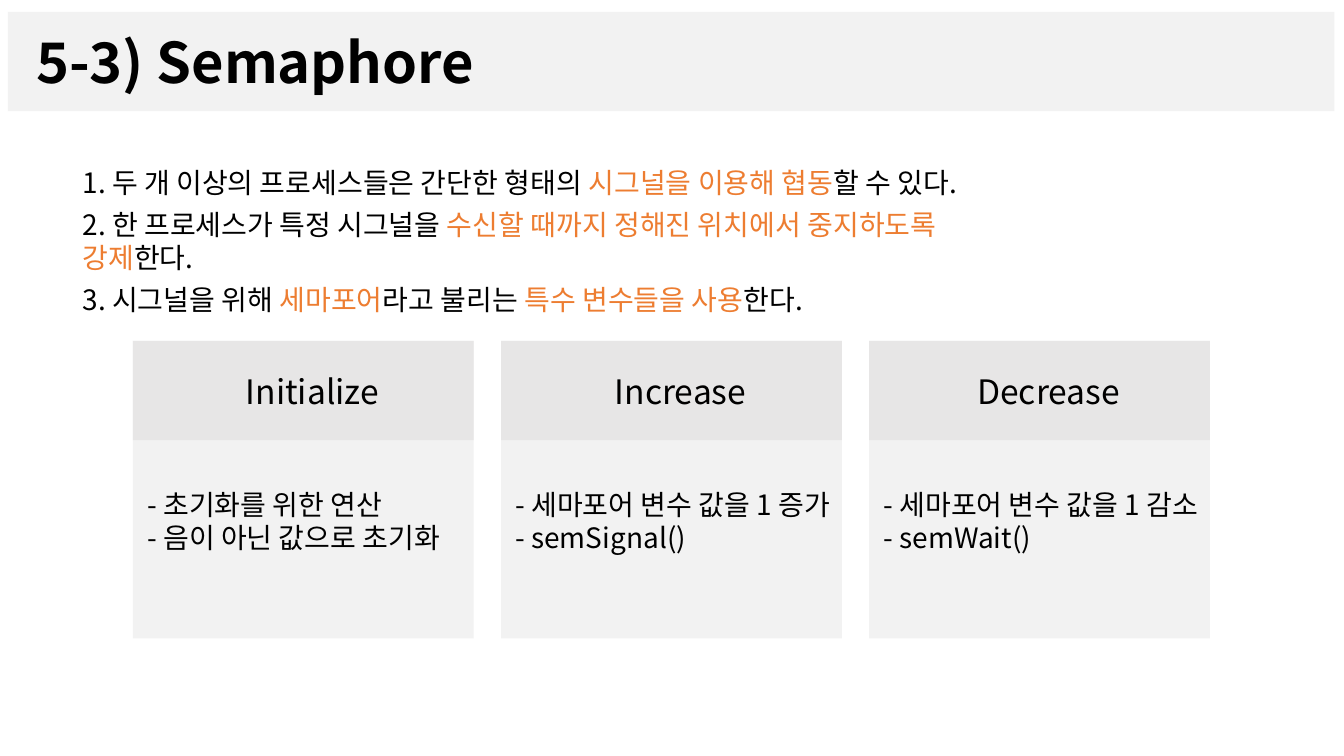
from lxml import etree
from pptx import Presentation
from pptx.dml.color import RGBColor
from pptx.enum.shapes import MSO_SHAPE as Shape
from pptx.enum.text import MSO_ANCHOR as Anchor, MSO_AUTO_SIZE as AutoSize, PP_ALIGN as Align
from pptx.oxml.ns import qn
from pptx.util import Cm, Pt

FONT = "Noto Sans CJK KR"
BLACK = RGBColor(0x00, 0x00, 0x00)
ORANGE = RGBColor(0xED, 0x7D, 0x31)
PALE = RGBColor(0xF2, 0xF2, 0xF2)
GRAY = RGBColor(0xE7, 0xE6, 0xE6)

TITLE = "5-3) Semaphore"
POINTS = [
    [("1. 두 개 이상의 프로세스들은 간단한 형태의 ", BLACK),
     ("시그널을 이용해 협동", ORANGE), ("할 수 있다.", BLACK)],
    [("2. 한 프로세스가 특정 시그널을 ", BLACK),
     ("수신할 때까지 정해진 위치에서 중지하도록 강제", ORANGE), ("한다.", BLACK)],
    [("3. 시그널을 위해 ", BLACK), ("세마포어", ORANGE), ("라고 불리는 ", BLACK),
     ("특수 변수들을 사용", ORANGE), ("한다.", BLACK)],
]
OPERATIONS = [
    ("Initialize", ["- 초기화를 위한 연산", "- 음이 아닌 값으로 초기화"]),
    ("Increase", ["- 세마포어 변수 값을 1 증가", "- semSignal()"]),
    ("Decrease", ["- 세마포어 변수 값을 1 감소", "- semWait()"]),
]


def write(frame, lines, size, align=Align.LEFT, bold=False, after=0):
    for index, spans in enumerate(lines):
        para = frame.add_paragraph() if index else frame.paragraphs[0]
        para.alignment = align
        para.space_after = Pt(after)
        para.font.size = Pt(size)
        para.font.bold = bold
        para.font.name = FONT
        for text, color in spans:
            span = para.add_run()
            span.text = text
            span.font.color.rgb = color
            span.font.name = FONT
            east_asian = etree.SubElement(span.font._element, qn("a:ea"))
            east_asian.set("typeface", FONT)


def add_panel(page, left, top, width, height, fill, inset_left, inset_top):
    panel = page.shapes.add_shape(Shape.RECTANGLE, Cm(left), Cm(top), Cm(width), Cm(height))
    panel.shadow.inherit = False
    panel.fill.solid()
    panel.fill.fore_color.rgb = fill
    panel.line.fill.background()
    frame = panel.text_frame
    frame.word_wrap = True
    frame.vertical_anchor = Anchor.MIDDLE
    frame.margin_left, frame.margin_top = Cm(inset_left), Cm(inset_top)
    return frame


def add_title(page, left, top, width, height):
    frame = add_panel(page, left, top, width, height, PALE, 0.71, 0.13)
    write(frame, [[(TITLE, BLACK)]], 40, bold=True)


def add_points(page, left, top, width, height):
    box = page.shapes.add_textbox(Cm(left), Cm(top), Cm(width), Cm(height))
    box.text_frame.word_wrap = True
    box.text_frame.auto_size = AutoSize.SHAPE_TO_FIT_TEXT
    write(box.text_frame, POINTS, 20, after=6)


def add_card(page, left, top, width, height, heading, lines):
    body = add_panel(page, left, top, width, height, PALE, 0.36, 1.7)
    write(body, [[(line, BLACK)] for line in lines], 20)
    header = add_panel(page, left, top, width, height / 3, GRAY, 0.71, 0.13)
    write(header, [[(heading, BLACK)]], 24, align=Align.CENTER)


def add_operations(page, left, top, width, height, gap):
    count = len(OPERATIONS)
    card_width = (width - gap * (count - 1)) / count
    for index, (heading, lines) in enumerate(OPERATIONS):
        card_left = left + index * (card_width + gap)
        add_card(page, card_left, top, card_width, height, heading, lines)


def main():
    deck = Presentation()
    deck.slide_width, deck.slide_height = Cm(33.87), Cm(19.05)
    page = deck.slides.add_slide(deck.slide_layouts[6])
    add_title(page, 0.2, 0.3, 33.43, 2.5)
    add_points(page, 1.83, 4.04, 23.9, 3.25)
    add_operations(page, 3.35, 8.59, 27.14, 7.5, 0.69)
    deck.save("out.pptx")


if __name__ == "__main__":
    main()
